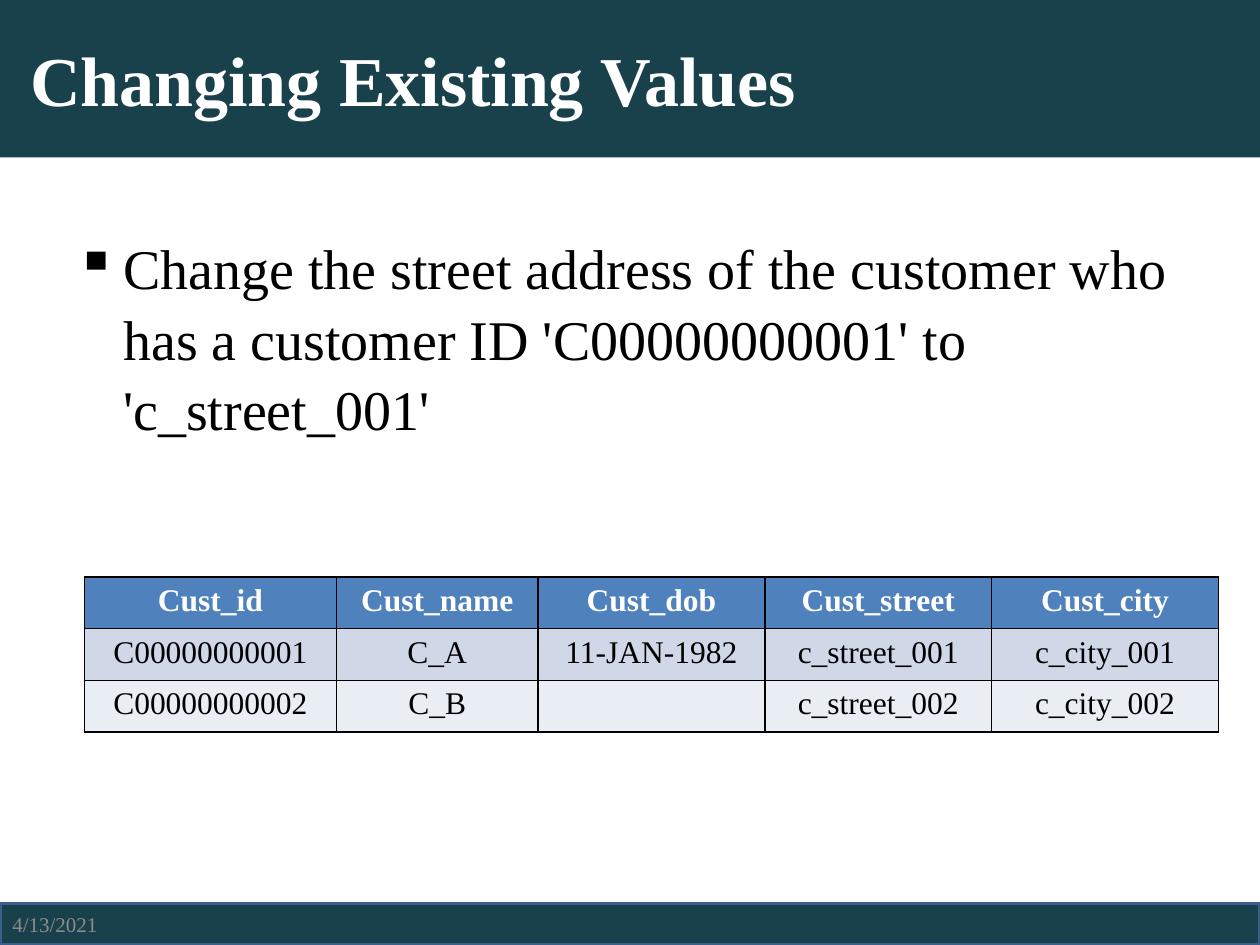
from lxml.etree import SubElement
from pptx import Presentation
from pptx.dml.color import RGBColor
from pptx.enum.shapes import MSO_SHAPE
from pptx.enum.text import MSO_ANCHOR, PP_ALIGN
from pptx.oxml.ns import qn
from pptx.util import Inches, Pt

TEAL = RGBColor(0x18, 0x41, 0x4C)
EDGE = RGBColor(0x3A, 0x5F, 0x8C)
WHITE = RGBColor(0xFF, 0xFF, 0xFF)
BLACK = RGBColor(0x00, 0x00, 0x00)
GRAY = RGBColor(0x8C, 0x8C, 0x8C)
HEADER = RGBColor(0x4F, 0x81, 0xBD)
BAND_DARK = RGBColor(0xD0, 0xD8, 0xE8)
BAND_LIGHT = RGBColor(0xE9, 0xED, 0xF4)


def write(frame, text, size, color, bold=False, align=PP_ALIGN.LEFT):
    para = frame.paragraphs[0]
    para.alignment = align
    span = para.add_run()
    span.text = text
    span.font.color.rgb = color
    values = {"name": "Times New Roman", "size": Pt(size), "bold": bold}
    for name, value in values.items():
        setattr(span.font, name, value)
    return para


def add_bar(top, height):
    bar = page.shapes.add_shape(
        MSO_SHAPE.RECTANGLE, Inches(0), Inches(top), Inches(10), Inches(height)
    )
    bar.shadow.inherit = False
    bar.fill.solid()
    bar.fill.fore_color.rgb = TEAL
    bar.line.fill.background()
    return bar


deck = Presentation()
deck.slide_width = Inches(10)
deck.slide_height = Inches(7.5)
page = deck.slides.add_slide(deck.slide_layouts[6])

footer = add_bar(7.17, 0.33)
footer.line.color.rgb = EDGE
footer.line.width = Pt(2)

title = add_bar(0, 1.25)
title.text_frame.margin_left = Inches(0.24)
title.text_frame.vertical_anchor = MSO_ANCHOR.MIDDLE
write(title.text_frame, "Changing Existing Values", 40, WHITE, True)

body = page.shapes.add_textbox(Inches(0.5), Inches(1.75), Inches(9), Inches(4.95))
body.text_frame.word_wrap = True
body.text_frame.margin_top = Inches(0.08)
task = write(
    body.text_frame,
    "Change the street address of the customer who has a customer ID "
    "'C00000000001' to 'c_street_001'",
    32,
    BLACK,
)
task.line_spacing = 1.05
properties = task._p.get_or_add_pPr()
properties.set("marL", str(Inches(0.38)))
properties.set("indent", str(-Inches(0.38)))
SubElement(properties, qn("a:buChar")).set("char", "▪")

date = page.shapes.add_textbox(Inches(0), Inches(7.17), Inches(2.33), Inches(0.33))
date.text_frame.word_wrap = True
date.text_frame.vertical_anchor = MSO_ANCHOR.MIDDLE
write(date.text_frame, "4/13/2021", 12, GRAY)

customers = [
    ["Cust_id", "Cust_name", "Cust_dob", "Cust_street", "Cust_city"],
    ["C00000000001", "C_A", "11-JAN-1982", "c_street_001", "c_city_001"],
    ["C00000000002", "C_B", "", "c_street_002", "c_city_002"],
]
row_styles = [(HEADER, WHITE, True), (BAND_DARK, BLACK, False), (BAND_LIGHT, BLACK, False)]
table = page.shapes.add_table(
    3, 5, Inches(0.67), Inches(4.58), Inches(9), Inches(1.22)
).table
for column, width in zip(table.columns, [2, 1.6, 1.8, 1.8, 1.8]):
    column.width = Inches(width)

for row, customer, (fill, color, bold) in zip(table.rows, customers, row_styles):
    row.height = Inches(0.41)
    for cell, value in zip(row.cells, customer):
        cell_properties = cell._tc.get_or_add_tcPr()
        for side in ("lnL", "lnR", "lnT", "lnB"):
            border = SubElement(cell_properties, qn(f"a:{side}"), w=str(Pt(1)))
            paint = SubElement(border, qn("a:solidFill"))
            SubElement(paint, qn("a:srgbClr"), val=str(BLACK))
        cell.fill.solid()
        cell.fill.fore_color.rgb = fill
        if value:
            write(cell.text_frame, value, 18, color, bold, PP_ALIGN.CENTER)

deck.save("out.pptx")
